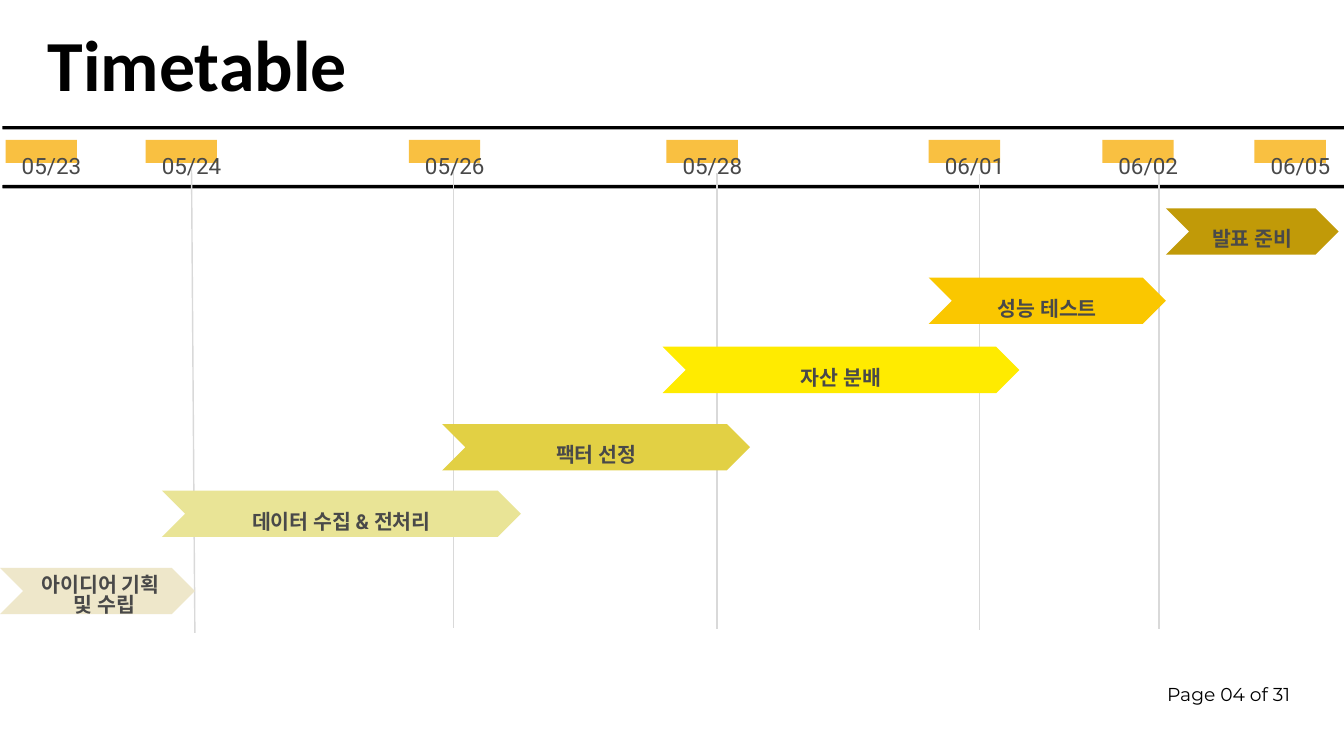
"""Build the project timetable slide."""
from lxml import etree
from pptx import Presentation
from pptx.dml.color import RGBColor
from pptx.enum.shapes import MSO_CONNECTOR, MSO_SHAPE
from pptx.enum.text import MSO_ANCHOR, PP_ALIGN
from pptx.oxml.ns import qn
from pptx.util import Pt

RECT, ROUNDED, CHEVRON = MSO_SHAPE.RECTANGLE, MSO_SHAPE.ROUNDED_RECTANGLE, MSO_SHAPE.CHEVRON
STRAIGHT = MSO_CONNECTOR.STRAIGHT
LEFT, CENTER, RIGHT = PP_ALIGN.LEFT, PP_ALIGN.CENTER, PP_ALIGN.RIGHT
TOP, MIDDLE = MSO_ANCHOR.TOP, MSO_ANCHOR.MIDDLE

COLORS = {
    "black": "000000", "text": "494949", "grid": "D9D9D9", "tab": "F9C041",
    "idea": "EEE7CA", "data": "E9E496", "factor": "E2D044",
    "asset": "FFEB00", "test": "FAC700", "talk": "C19A08",
}
TITLE = "Timetable"
PAGE = "Page 04 of 31"
DATES = [("05/23", 6), ("05/24", 156), ("05/26", 438), ("05/28", 714),
         ("06/01", 995), ("06/02", 1181), ("06/05", 1344)]
GRID_LINES = [(205.2, 181.4, 208.8, 678.2), (486, 184.3, 486, 673.2),
              (768.2, 185.8, 768.2, 673.9), (1049.8, 186.5, 1049.8, 675.4),
              (1242, 185.8, 1242, 673.9)]
TASKS = [("", "idea", 0, 608.4, 208.8),
         ("데이터 수집 & 전처리", "data", 173.5, 525.6, 384.5),
         ("팩터 선정", "factor", 473.8, 454.3, 329.8),
         ("자산 분배", "asset", 709.9, 371.5, 382.3),
         ("성능 테스트", "test", 995, 297.4, 254.2),
         ("발표 준비", "talk", 1249.2, 223.2, 185)]
IDEA_LABELS = [("아이디어 기획", 37.4, 609.1, 153.4), ("및 수립", 72, 630.7, 86.4)]
RULE_CENTERS = (136.8, 200)
RULE_H, TASK_H = 3.6, 49.7
TAB_TOP, TAB_W, TAB_H, DATE_INDENT = 150, 76.5, 24.5, 17.3


def rgb(name):
    return RGBColor.from_string(COLORS[name])


def write(sp, text, size, font="Roboto", color="text", bold=False, align=LEFT,
          anchor=TOP, spacing=None, inset=(0, 0), wrap=True):
    tf = sp.text_frame
    tf.word_wrap, tf.vertical_anchor = wrap, anchor
    tf.margin_left = tf.margin_right = Pt(inset[0])
    tf.margin_top = tf.margin_bottom = Pt(inset[1])
    p = tf.paragraphs[0]
    p.alignment = align
    if spacing:
        p.line_spacing = Pt(spacing)
    r = p.add_run()
    r.text = text
    r.font.name, r.font.size, r.font.bold = font, Pt(size), bold
    r.font.color.rgb = rgb(color)


def box(s, x, y, w, h):
    return s.shapes.add_textbox(Pt(x), Pt(y), Pt(w), Pt(h))


def block(s, kind, x, y, w, h, color):
    sp = s.shapes.add_shape(kind, Pt(x), Pt(y), Pt(w), Pt(h))
    sp.shadow.inherit = False
    sp.fill.solid()
    sp.fill.fore_color.rgb = rgb(color)
    sp.line.fill.background()
    return sp


def main():
    prs = Presentation()
    prs.slide_width, prs.slide_height = Pt(1440), Pt(810)
    s = prs.slides.add_slide(prs.slide_layouts[5])

    title = s.shapes.title
    title.left, title.top, title.width, title.height = Pt(51), Pt(52.6), Pt(779), Pt(68.4)
    write(title, TITLE, 77, font="Calibri", color="black", bold=True, spacing=60.4)
    write(box(s, 1226.2, 727.2, 156.2, 26), PAGE, 20, font="Montserrat",
          color="black", align=RIGHT, spacing=28)

    for y in RULE_CENTERS:
        block(s, ROUNDED, 2.5, y - RULE_H / 2, 1440, RULE_H, "black")
    for ends in GRID_LINES:
        line = s.shapes.add_connector(STRAIGHT, *map(Pt, ends))
        line.line.color.rgb = rgb("grid")
        line.line.width = Pt(1.5)
        etree.SubElement(line._element.spPr, qn("a:effectLst"))

    for date, x in DATES:
        block(s, RECT, x, TAB_TOP, TAB_W, TAB_H, "tab")
        write(box(s, x + DATE_INDENT, TAB_TOP, 170, 80.6), date, 24, spacing=41.6)

    for text, color, x, y, w in TASKS:
        sp = block(s, CHEVRON, x, y, w, TASK_H, color)
        if text:
            write(sp, text, 22, bold=True, align=CENTER, anchor=MIDDLE,
                  spacing=41.6, inset=(7.2, 3.6))
    for text, x, y, w in IDEA_LABELS:
        write(box(s, x, y, w, 33.8), text, 22, bold=True, inset=(7.2, 3.6), wrap=False)

    prs.save("out.pptx")


if __name__ == "__main__":
    main()
